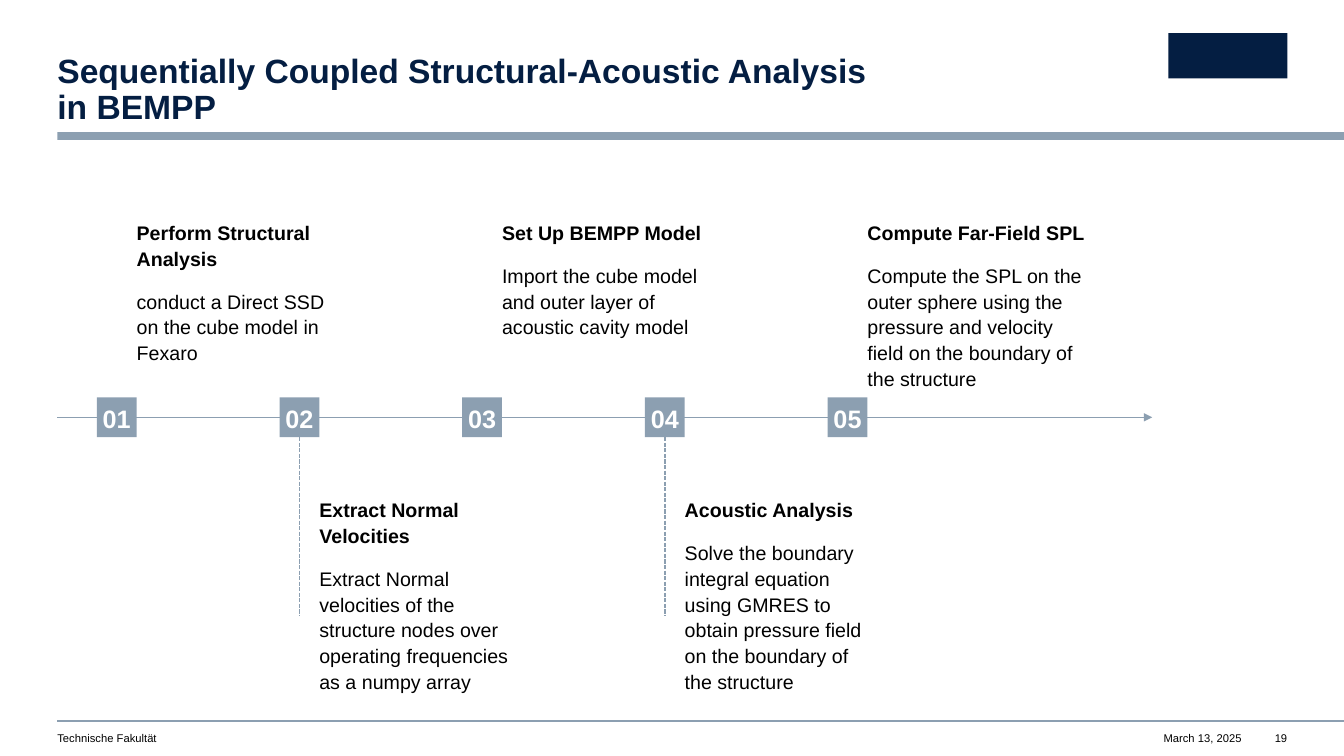
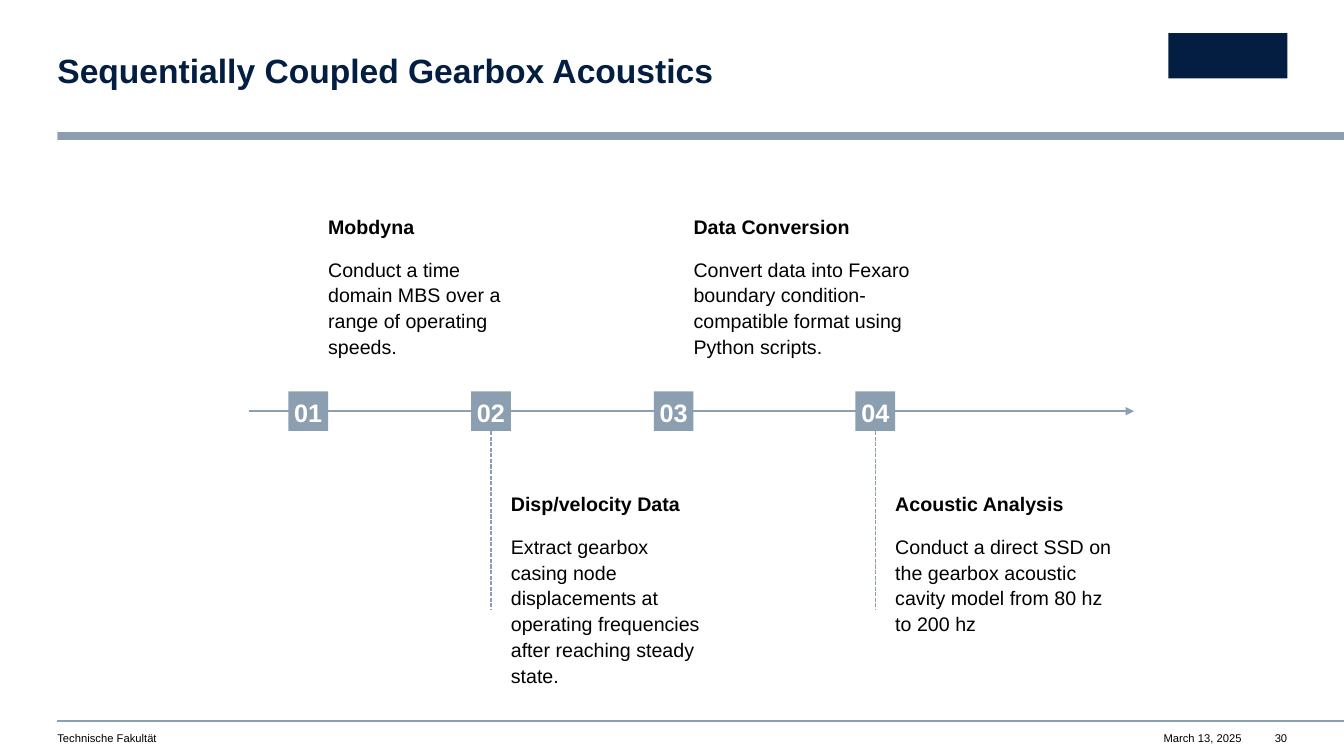
"""Builds two timeline slides on sequentially coupled acoustic analysis."""
from lxml import etree
from pptx import Presentation
from pptx.dml.color import RGBColor
from pptx.enum.dml import MSO_LINE
from pptx.enum.shapes import MSO_CONNECTOR, MSO_SHAPE
from pptx.enum.text import MSO_ANCHOR, MSO_AUTO_SIZE, PP_ALIGN
from pptx.oxml.ns import qn
from pptx.util import Pt

RECTANGLE, STRAIGHT = MSO_SHAPE.RECTANGLE, MSO_CONNECTOR.STRAIGHT
TOP, MIDDLE = MSO_ANCHOR.TOP, MSO_ANCHOR.MIDDLE
LEFT, CENTER, RIGHT = PP_ALIGN.LEFT, PP_ALIGN.CENTER, PP_ALIGN.RIGHT
SYS_DASH, NO_FIT = MSO_LINE.SQUARE_DOT, MSO_AUTO_SIZE.NONE

FONT = "Arial"
NAVY, STEEL, BLACK, WHITE = "041E42", "8C9FB1", "000000", "FFFFFF"
WIDTH, HEIGHT, MARGIN = 960, 540, 41
MARKER, PITCH, LEAD = 28.4, 130.5, 28.2
ABOVE, BELOW, STEM = -142, 56, 142
STEP_WIDTH, STEP_HEIGHT = 140.4, 85
FACULTY, DATE = "Technische Fakultät", "March 13, 2025"

TIMELINES = [
    {
        "title": "Sequentially Coupled Structural-Acoustic Analysis in BEMPP",
        "page": "19",
        "axis": (41, 823, 298.1),
        "steps": [
            {"head": "Perform Structural Analysis",
             "body": "conduct a Direct SSD on the cube model in Fexaro"},
            {"head": "Extract Normal Velocities",
             "body": "Extract Normal velocities of the structure nodes over "
                     "operating frequencies as a numpy array"},
            {"head": "Set Up BEMPP Model", "width": 156,
             "body": "Import the cube model and outer layer of acoustic cavity model"},
            {"head": "Acoustic Analysis",
             "body": "Solve the boundary integral equation using GMRES to obtain "
                     "pressure field on the boundary of the structure"},
            {"head": "Compute Far-Field SPL", "width": 162,
             "body": "Compute the SPL on the outer sphere using the pressure and "
                     "velocity field on the boundary of the structure"},
        ],
    },
    {
        "title": "Sequentially Coupled Gearbox Acoustics",
        "page": "30",
        "axis": (177.8, 810, 293.7),
        "steps": [
            {"head": "Mobdyna",
             "body": "Conduct a time domain MBS over a range of operating speeds."},
            {"head": "Disp/velocity Data",
             "body": "Extract gearbox casing node displacements at operating "
                     "frequencies after reaching steady state."},
            {"head": "Data Conversion", "width": 181,
             "body": "Convert data into Fexaro boundary condition-compatible "
                     "format using Python scripts."},
            {"head": "Acoustic Analysis", "width": 160, "shift": 13.6,
             "body": "Conduct a direct SSD on the gearbox acoustic cavity model "
                     "from 80 hz to 200 hz"},
        ],
    },
]


def color(value):
    return RGBColor.from_string(value)


def prepare(frame, anchor=TOP):
    frame.margin_left = frame.margin_right = frame.margin_top = frame.margin_bottom = 0
    frame.word_wrap = True
    frame.auto_size = NO_FIT
    frame.vertical_anchor = anchor


def style(paragraph, size, ink=BLACK, bold=False, align=LEFT, spacing=1.0):
    paragraph.alignment = align
    paragraph.line_spacing = spacing
    for run in paragraph.runs:
        run.font.name, run.font.size, run.font.bold = FONT, Pt(size), bold
        run.font.color.rgb = color(ink)


def add_block(slide, left, top, width, height, fill):
    block = slide.shapes.add_shape(RECTANGLE, Pt(left), Pt(top), Pt(width), Pt(height))
    block.shadow.inherit = False
    block.fill.solid()
    block.fill.fore_color.rgb = color(fill)
    block.line.fill.background()
    return block


def add_line(slide, x1, y1, x2, y2, weight=1, dashed=False, arrow=False):
    line = slide.shapes.add_connector(STRAIGHT, Pt(x1), Pt(y1), Pt(x2), Pt(y2))
    line.line.color.rgb = color(STEEL)
    line.line.width = Pt(weight)
    if dashed:
        line.line.dash_style = SYS_DASH
    properties = line.line._get_or_add_ln()
    if arrow:
        etree.SubElement(properties, qn("a:tailEnd"), type="triangle")
    etree.SubElement(properties.getparent(), qn("a:effectLst"))


def add_text(slide, left, top, width, height, text):
    frame = slide.shapes.add_textbox(Pt(left), Pt(top), Pt(width), Pt(height)).text_frame
    prepare(frame)
    frame.text = text
    return frame


def add_frame(slide, title, page):
    add_block(slide, MARGIN, 94.3, WIDTH - MARGIN, 5.7, STEEL)
    add_line(slide, MARGIN, 515, WIDTH, 515, weight=0.75)
    add_block(slide, 834.5, 23.6, 85, 32.4, NAVY)

    heading = slide.shapes.title
    heading.left, heading.top, heading.width, heading.height = map(Pt, (MARGIN, 39, 598, 52))
    prepare(heading.text_frame)
    heading.text_frame.text = title
    style(heading.text_frame.paragraphs[0], 24, NAVY, True, spacing=0.9)

    footers = [(FACULTY, MARGIN, 430, LEFT), (DATE, 787, 100, RIGHT), (page, 889.5, 30, RIGHT)]
    for text, left, width, align in footers:
        footer = add_text(slide, left, 522.7, width, 9.4, text)
        style(footer.paragraphs[0], 8, align=align)


def add_step(slide, number, step, left, axis_y):
    marker = add_block(slide, left, axis_y - MARKER / 2, MARKER, MARKER, STEEL)
    prepare(marker.text_frame, MIDDLE)
    marker.text_frame.text = f"{number:02}"
    style(marker.text_frame.paragraphs[0], 18, WHITE, True, CENTER, 1.1)

    is_below = number % 2 == 0
    if is_below:
        center = left + MARKER / 2
        add_line(slide, center, axis_y + MARKER / 2, center, axis_y + STEM, dashed=True)
    top = axis_y + (BELOW if is_below else ABOVE)
    frame = add_text(slide, left + MARKER, top, step.get("width", STEP_WIDTH),
                     STEP_HEIGHT, step["head"])
    frame.add_paragraph().text = step["body"]
    for paragraph, bold in zip(frame.paragraphs, (True, False)):
        style(paragraph, 14, bold=bold, spacing=1.1)
        paragraph.space_after = Pt(12)


def main():
    deck = Presentation()
    deck.slide_width, deck.slide_height = Pt(WIDTH), Pt(HEIGHT)
    for timeline in TIMELINES:
        slide = deck.slides.add_slide(deck.slide_layouts[5])
        add_frame(slide, timeline["title"], timeline["page"])
        start, end, axis_y = timeline["axis"]
        add_line(slide, start, axis_y, end, axis_y, arrow=True)
        for index, step in enumerate(timeline["steps"]):
            left = start + LEAD + index * PITCH + step.get("shift", 0)
            add_step(slide, index + 1, step, left, axis_y)
    deck.save("out.pptx")


if __name__ == "__main__":
    main()
